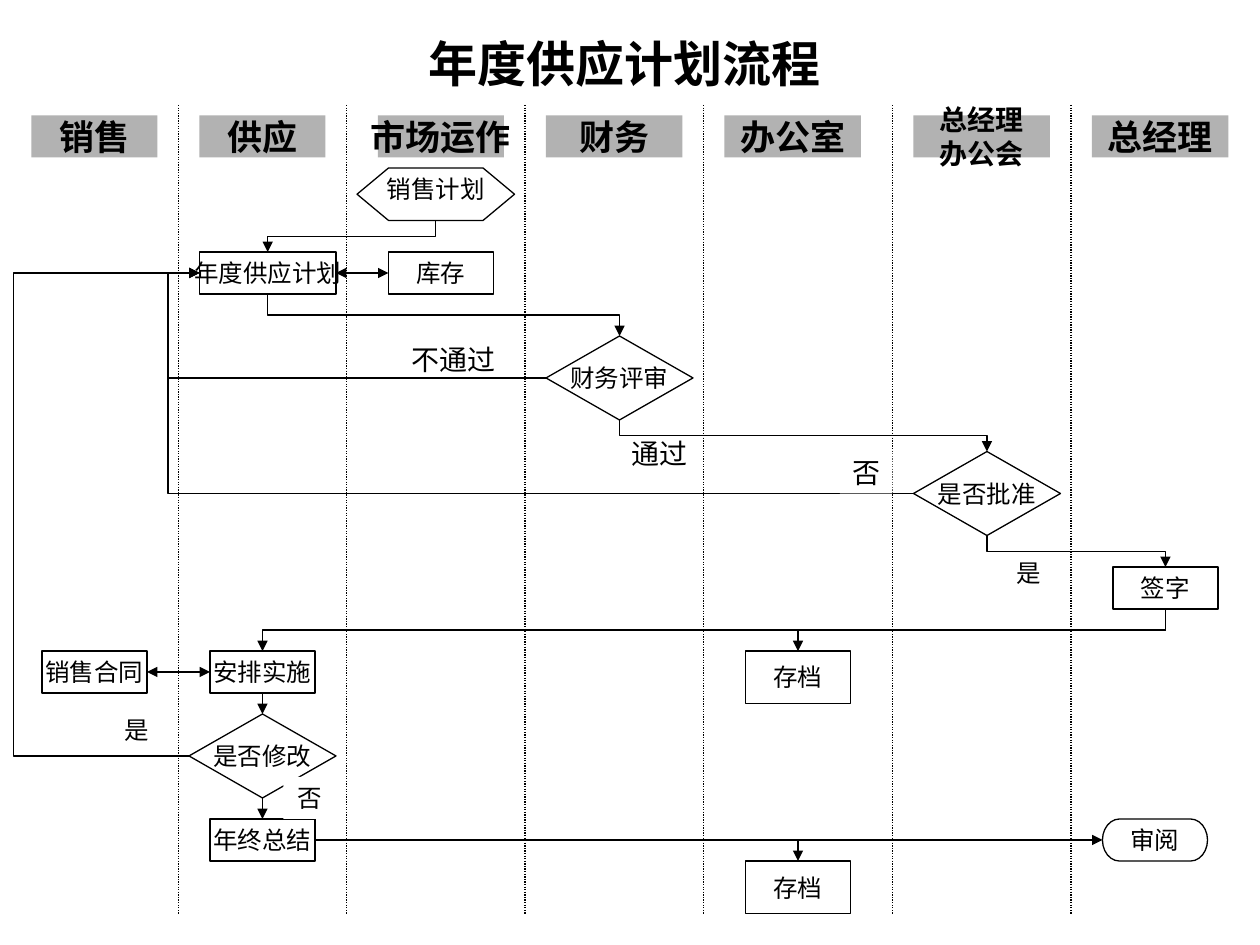
import pptx
import pptx.util
import pptx.dml.color
import pptx.enum.dml
import pptx.enum.shapes
import pptx.enum.text
import pptx.oxml.ns

COLORS = {"ink": "000000", "paper": "FFFFFF", "header": "B2B2B2"}
SHAPES = pptx.enum.shapes.MSO_SHAPE
CONNECTORS = pptx.enum.shapes.MSO_CONNECTOR
ALIGN = pptx.enum.text.PP_ALIGN
TOP, LEFT, BOTTOM, RIGHT = range(4)
COLUMNS, ROWS = 120, 90


class FlowSlide:
    font_name = "Times New Roman"
    line_width = pptx.util.Pt(0.75)

    def __init__(self, deck):
        self.column = deck.slide_width / COLUMNS
        self.row = deck.slide_height / ROWS
        self.slide = deck.slides.add_slide(deck.slide_layouts[5])

    def area(self, left, top, width, height):
        return (round(left * self.column), round(top * self.row),
                round(width * self.column), round(height * self.row))

    def color(self, name):
        return pptx.dml.color.RGBColor.from_string(COLORS[name])

    def letter(self, frame, text, size, bold=False, align=ALIGN.CENTER):
        frame.text = text
        for paragraph in frame.paragraphs:
            paragraph.alignment = align
            for run in paragraph.runs:
                run.font.name = self.font_name
                run.font.size = pptx.util.Pt(size)
                run.font.bold = bold
                run.font.color.rgb = self.color("ink")

    def title(self, text, *cells):
        heading = self.slide.shapes.title
        heading.left, heading.top, heading.width, heading.height = self.area(*cells)
        heading.text_frame.auto_size = pptx.enum.text.MSO_AUTO_SIZE.NONE
        heading.text_frame.vertical_anchor = pptx.enum.text.MSO_ANCHOR.MIDDLE
        self.letter(heading.text_frame, text, 28, True)

    def box(self, text, *cells, kind=SHAPES.RECTANGLE, size=14, bold=False,
            fill="paper", outline=True):
        shape = self.slide.shapes.add_shape(kind, *self.area(*cells))
        shape.shadow.inherit = False
        if fill:
            shape.fill.solid()
            shape.fill.fore_color.rgb = self.color(fill)
        else:
            shape.fill.background()
        if outline:
            self.stroke(shape.line)
        else:
            shape.line.fill.background()
        if text:
            shape.text_frame.word_wrap = False
            shape.text_frame.vertical_anchor = pptx.enum.text.MSO_ANCHOR.MIDDLE
            self.letter(shape.text_frame, text, size, bold)
        return shape

    def note(self, text, *cells):
        label = self.slide.shapes.add_textbox(*self.area(*cells))
        label.text_frame.word_wrap = True
        self.letter(label.text_frame, text, 16, align=ALIGN.LEFT)

    def stroke(self, line):
        line.color.rgb = self.color("ink")
        line.width = self.line_width

    def connector(self, kind, *ends):
        link = self.slide.shapes.add_connector(kind, *ends)
        self.stroke(link.line)
        return link

    def finish(self, link, *arrows):
        properties = link._element.spPr
        for tag in arrows:
            self.child(properties.get_or_add_ln(), tag, type="triangle")
        self.child(properties, "a:effectLst")

    def child(self, parent, tag, **attributes):
        parent.append(parent.makeelement(pptx.oxml.ns.qn(tag), attributes))

    def divider(self, column, top, bottom):
        x, y, _, height = self.area(column, top, 0, bottom - top)
        link = self.connector(CONNECTORS.STRAIGHT, x, y, x, y + height)
        link.line.dash_style = pptx.enum.dml.MSO_LINE.ROUND_DOT
        self.finish(link)

    def join(self, kind, start, start_side, end, end_side):
        link = self.connector(kind, 0, 0, 0, 0)
        link.begin_connect(start, start_side)
        link.end_connect(end, end_side)
        return link

    def arrow(self, start, start_side, end, end_side, both=False):
        link = self.join(CONNECTORS.STRAIGHT, start, start_side, end, end_side)
        self.finish(link, *(["a:headEnd"] if both else []), "a:tailEnd")

    def drop(self, start, end):
        link = self.join(CONNECTORS.ELBOW, start, BOTTOM, end, TOP)
        run, fall = link.end_x - link.begin_x, link.end_y - link.begin_y
        center_x = (link.begin_x + link.end_x) // 2
        center_y = (link.begin_y + link.end_y) // 2
        frame = link._element.spPr.xfrm
        frame.flipH = run > 0
        frame.flipV = False
        frame.set("rot", "16200000" if run > 0 else "5400000")
        link.width, link.height = fall, abs(run)
        link.left, link.top = center_x - fall // 2, center_y - abs(run) // 2
        self.finish(link, "a:tailEnd")

    def loop_back(self, start, end, lane):
        link = self.join(CONNECTORS.ELBOW, start, LEFT, end, LEFT)
        share = (lane * self.column - link.begin_x) / (link.end_x - link.begin_x)
        guides = link._element.spPr.prstGeom.get_or_add_avLst()
        self.child(guides, "a:gd", name="adj1", fmla=f"val {round(share * 100000)}")
        self.finish(link, "a:tailEnd")

    def corner(self, start, end):
        link = self.join(CONNECTORS.ELBOW, start, RIGHT, end, TOP)
        link._element.spPr.prstGeom.set("prst", "bentConnector2")
        self.finish(link, "a:tailEnd")


def main():
    deck = pptx.Presentation()
    deck.slide_width = pptx.util.Inches(10)
    deck.slide_height = pptx.util.Inches(7.5)
    flow = FlowSlide(deck)
    flow.title("年度供应计划流程", 24, 2, 71, 8)

    departments = [("销售", 3, 12, 20), ("供应", 19, 12, 20), ("市场运作", 36, 12, 20),
                   ("财务", 52, 13, 20), ("办公室", 69, 13, 20),
                   ("总经理\n办公会", 87, 13, 16), ("总经理", 104, 13, 20)]
    for department, left, width, size in departments:
        flow.box(department, left, 11, width, 4, size=size, bold=True,
                 fill="header", outline=False)
    for column in (17, 33, 50, 67, 85, 102):
        flow.divider(column, 10, 87)

    flow.box("销售计划", 36, 16, 11, 4, outline=False)
    sales_plan = flow.box("", 34, 16, 15, 5, kind=SHAPES.FLOWCHART_PREPARATION, fill=None)
    supply_plan = flow.box("年度供应计划", 19, 24, 13, 4)
    stock = flow.box("库存", 37, 24, 10, 4)
    finance_review = flow.box("财务评审", 52, 32, 14, 8, kind=SHAPES.DIAMOND)
    approval = flow.box("是否批准", 87, 43, 14, 8, kind=SHAPES.DIAMOND)
    signature = flow.box("签字", 106, 54, 10, 4)
    contract = flow.box("销售合同", 4, 62, 10, 4)
    execution = flow.box("安排实施", 20, 62, 10, 4)
    plan_archive = flow.box("存档", 71, 62, 10, 5)
    revision = flow.box("是否修改", 18, 68, 14, 8, kind=SHAPES.DIAMOND)
    summary = flow.box("年终总结", 20, 78, 10, 4)
    summary_archive = flow.box("存档", 71, 82, 10, 5)
    reading = flow.box("审阅", 105, 78, 10, 4, kind=SHAPES.FLOWCHART_TERMINATOR)

    for start, end in [(sales_plan, supply_plan), (supply_plan, finance_review),
                       (finance_review, approval), (approval, signature),
                       (signature, execution), (signature, plan_archive)]:
        flow.drop(start, end)
    for start, lane in [(finance_review, 16), (approval, 16), (revision, 1.32)]:
        flow.loop_back(start, supply_plan, lane)
    flow.arrow(supply_plan, RIGHT, stock, LEFT, both=True)
    flow.arrow(contract, RIGHT, execution, LEFT, both=True)
    flow.arrow(execution, BOTTOM, revision, TOP)
    flow.arrow(revision, BOTTOM, summary, TOP)
    flow.arrow(summary, RIGHT, reading, LEFT)
    flow.corner(summary, summary_archive)

    flow.note("不通过", 38, 32, 13, 4.4)
    flow.note("通过", 59, 41, 9, 4.4)
    for answer, left, top, width, height, size in [
            ("否", 80, 43, 5, 4, 16), ("是", 96, 53, 4, 3, 14),
            ("是", 11, 68, 4, 3, 14), ("否", 27, 74, 5, 4, 14)]:
        flow.box(answer, left, top, width, height, size=size, outline=False)

    deck.save("out.pptx")


if __name__ == "__main__":
    main()
